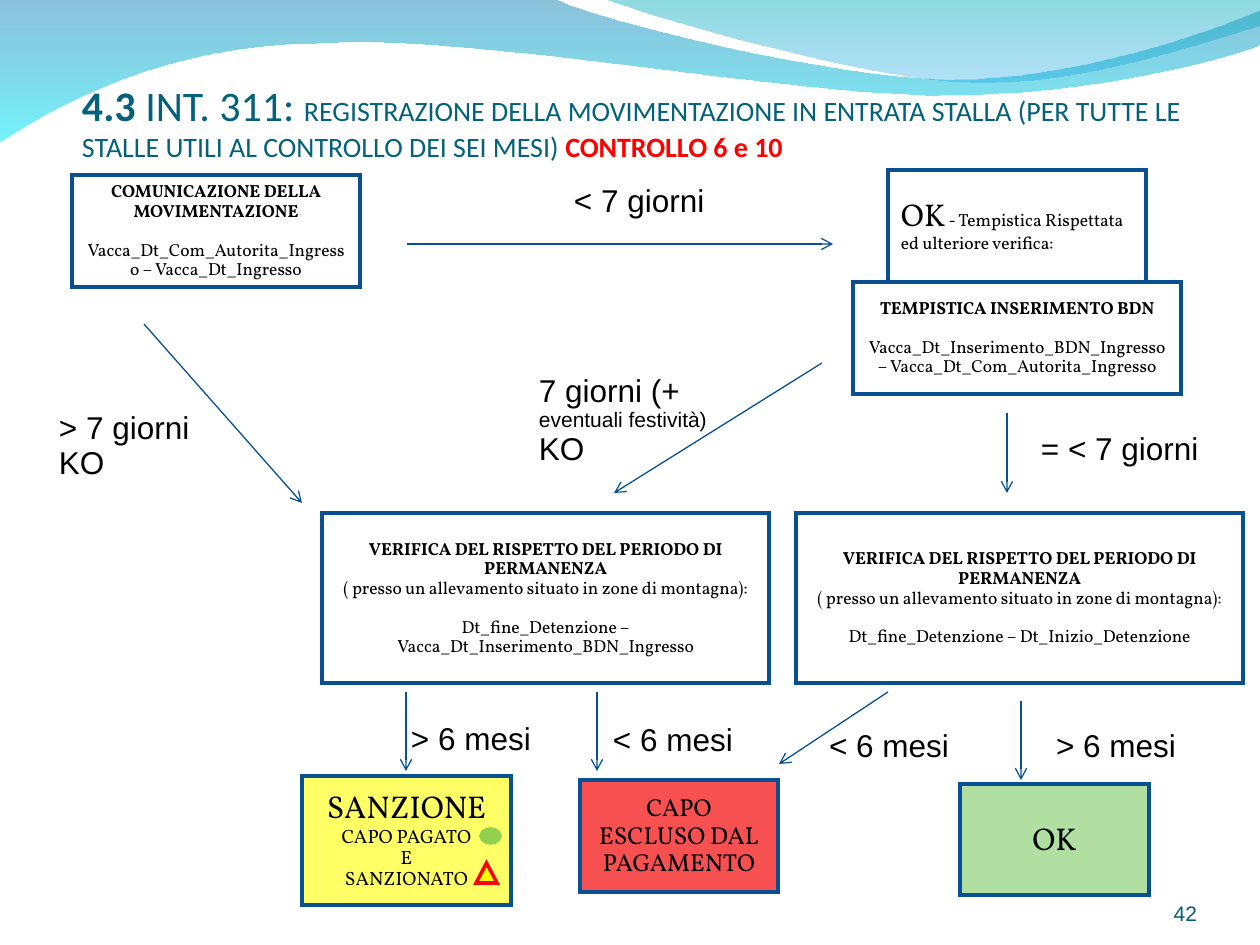
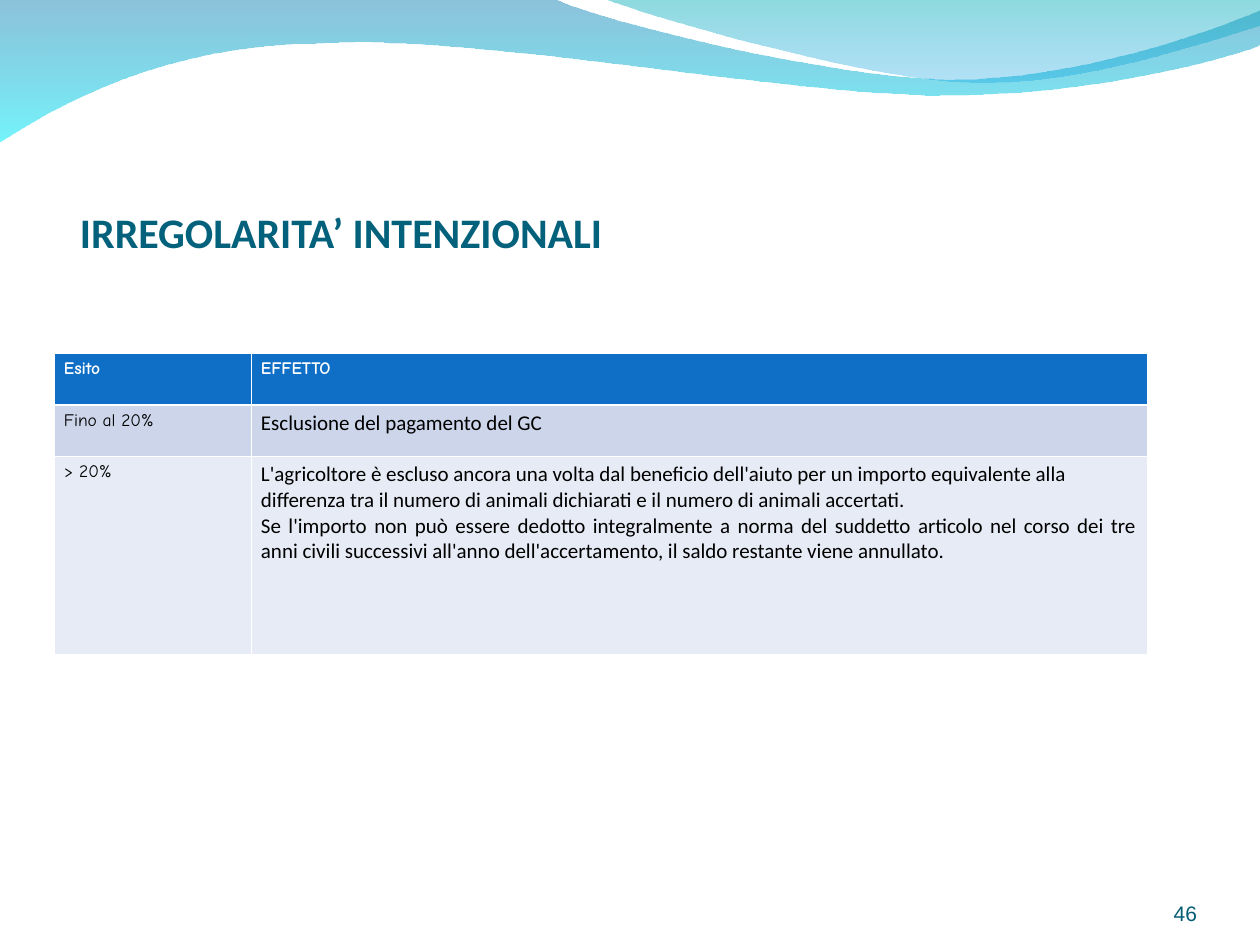
from dataclasses import dataclass

from lxml import etree
from pptx import Presentation
from pptx.dml.color import RGBColor
from pptx.enum.shapes import MSO_CONNECTOR, MSO_SHAPE
from pptx.enum.text import MSO_ANCHOR, PP_ALIGN
from pptx.oxml.ns import qn
from pptx.util import Pt

RECTANGLE, TRIANGLE = MSO_SHAPE.RECTANGLE, MSO_SHAPE.ISOSCELES_TRIANGLE
DOT = MSO_SHAPE.FLOWCHART_CONNECTOR
STRAIGHT = MSO_CONNECTOR.STRAIGHT
TOP, MIDDLE, BOTTOM = MSO_ANCHOR.TOP, MSO_ANCHOR.MIDDLE, MSO_ANCHOR.BOTTOM
LEFT, CENTER, RIGHT, JUSTIFY = PP_ALIGN.LEFT, PP_ALIGN.CENTER, PP_ALIGN.RIGHT, PP_ALIGN.JUSTIFY

EMU_PER_PX = 914400 / 126
SLIDE_WIDTH, SLIDE_HEIGHT = 1260, 945
TITLE_FONT, LABEL_FONT, BOX_FONT, TABLE_FONT = "Calibri", "Arial", "Vollkorn", "Comic Neue"
TIGHT = 0.93
BOX_INSETS = (13, 6, 13, 6)

COLORS = {
    "black": "000000", "white": "FFFFFF", "title": "04617B", "number": "045C75",
    "border": "085091", "arrow": "065093", "red": "FF0000", "yellow": "FFFF00",
    "green": "92D050", "sanction": "FFFF66", "excluded": "F65050", "approved": "B0DFA1",
    "header": "0F6FC6", "row_dark": "CCD5EA", "row_light": "E7EBF5",
    "wave_blue": "0079AF", "wave_cyan": "00EBF8", "wave_teal": "00ADB6", "wave_sky": "009BE5",
}


@dataclass
class Run:
    text: str
    size: float = 10
    bold: bool = False
    color: str = "black"
    font: str = BOX_FONT


@dataclass
class Line:
    runs: list[Run]
    align: PP_ALIGN = CENTER
    gap: float = 0
    spacing: float = TIGHT


@dataclass
class Box:
    area: tuple[int, int, int, int]
    lines: list[Line]
    fill: str = "white"


@dataclass
class Label:
    area: tuple[int, int, int, int]
    lines: list[list[Run]]


@dataclass
class Wave:
    start: tuple[int, int]
    segments: list[tuple]  # one point: straight, three points: curve
    stops: tuple  # colour and opacity in percent


WAVES = [
    Wave((0, -1), [((554, -1),),
                   ((600, 21), (837, 79), (955, 79)),
                   ((1075, 79), (1207, 33), (1260, 11)),
                   ((1261, 45),),
                   ((1239, 55), (1096, 96), (940, 95)),
                   ((784, 95), (481, 35), (324, 43)),
                   ((163, 44), (58, 105), (-1, 142))],
         (("wave_blue", 45), ("wave_cyan", 55))),
    Wave((604, -1), [((641, 14), (859, 78), (969, 82)),
                     ((1079, 87), (1211, 40), (1260, 26)),
                     ((1260, 0),)],
         (("wave_teal", 45), ("wave_sky", 30))),
]


def px(value: float) -> int:
    return round(value * EMU_PER_PX)


def place(area) -> list[int]:
    return [px(value) for value in area]


def rgb(name: str) -> RGBColor:
    return RGBColor.from_string(COLORS[name])


# Text
def add_run(paragraph, text: str, *, size: float, bold: bool, color: str, font: str) -> None:
    run = paragraph.add_run()
    run.text = text
    run.font.size, run.font.bold, run.font.name = Pt(size), bold, font
    run.font.color.rgb = rgb(color)


def write_lines(frame, lines: list[Line]) -> None:
    for index, line in enumerate(lines):
        paragraph = frame.add_paragraph() if index else frame.paragraphs[0]
        paragraph.alignment = line.align
        paragraph.line_spacing = line.spacing
        paragraph.space_before = Pt(line.gap)
        for run in line.runs:
            add_run(paragraph, run.text, size=run.size, bold=run.bold,
                    color=run.color, font=run.font)


def set_frame(frame, anchor, insets) -> None:
    frame.word_wrap = True
    frame.vertical_anchor = anchor
    (frame.margin_left, frame.margin_top,
     frame.margin_right, frame.margin_bottom) = place(insets)


def add_text(slide, area, lines: list[Line], anchor=TOP, insets=BOX_INSETS) -> None:
    frame = slide.shapes.add_textbox(*place(area)).text_frame
    set_frame(frame, anchor, insets)
    write_lines(frame, lines)


# Shapes
def add_preset(shapes, kind, area, fill: str, border: str):
    shape = shapes.add_shape(kind, *place(area))
    shape.shadow.inherit = False
    shape.fill.solid()
    shape.fill.fore_color.rgb = rgb(fill)
    shape.line.color.rgb = rgb(border)
    shape.line.width = Pt(2)
    etree.SubElement(shape.line._get_or_add_ln(), qn("a:miter"), lim="800000")
    return shape


def add_box(shapes, box: Box) -> None:
    shape = add_preset(shapes, RECTANGLE, box.area, box.fill, "border")
    set_frame(shape.text_frame, MIDDLE, BOX_INSETS)
    write_lines(shape.text_frame, box.lines)


def add_arrow(slide, start: tuple[int, int], end: tuple[int, int]) -> None:
    connector = slide.shapes.add_connector(STRAIGHT, *place(start + end))
    connector.line.color.rgb = rgb("arrow")
    connector.line.width = Pt(0.75)
    etree.SubElement(connector.line._get_or_add_ln(), qn("a:tailEnd"), type="arrow")
    etree.SubElement(connector._element.spPr, qn("a:effectLst"))


def bend_segments(shape, segments: list[tuple]) -> None:
    """Merge the three straight steps of each curved segment into one Bezier curve."""
    steps = iter(list(shape._element.spPr.iter(qn("a:lnTo"))))
    for segment in segments:
        parts = [next(steps) for _ in segment]
        if len(parts) == 3:
            curve = etree.Element(qn("a:cubicBezTo"))
            parts[0].addprevious(curve)
            for part in parts:
                curve.append(part[0])
                part.getparent().remove(part)


def add_wave(slide, wave: Wave) -> None:
    builder = slide.shapes.build_freeform(*place(wave.start))
    points = [place(point) for segment in wave.segments for point in segment]
    builder.add_line_segments(points, close=True)
    shape = builder.convert_to_shape()
    bend_segments(shape, wave.segments)
    shape.shadow.inherit = False
    shape.line.fill.background()
    shape.fill.gradient()
    shape.fill.gradient_angle = 270
    for stop, (color, _) in zip(shape.fill.gradient_stops, wave.stops):
        stop.color.rgb = rgb(color)
    color_elements = list(shape._element.spPr.iter(qn("a:srgbClr")))
    for element, (_, opacity) in zip(color_elements, wave.stops):
        etree.SubElement(element, qn("a:alpha"), val=str(opacity * 1000))


# Parts shared by the slides
def start_slide(presentation, number: int, title_area, title: list[Run], title_insets):
    slide = presentation.slides.add_slide(presentation.slide_layouts[6])
    for wave in WAVES:
        add_wave(slide, wave)
    add_text(slide, title_area, [Line(title, LEFT, spacing=1.0)], BOTTOM, title_insets)
    page = Run(str(number), 12, color="number", font=LABEL_FONT)
    add_text(slide, (1092, 876, 105, 50), [Line([page], RIGHT)], BOTTOM, (0, 0, 0, 0))
    return slide


def title_run(text: str, size: float, bold: bool = False, color: str = "title") -> Run:
    return Run(text, size, bold, color, TITLE_FONT)


def label_run(text: str, size: float = 18) -> Run:
    return Run(text, size, font=LABEL_FONT)


def check_lines(heading: str, formula: str, note: str = "") -> list[Line]:
    notes = [Line([Run(note)])] if note else []
    return [Line([Run(heading, bold=True)]), *notes, Line([Run(formula)], gap=11)]


def stay_box(left: int, formula: str) -> Box:
    return Box((left, 513, 447, 170), check_lines(
        "VERIFICA DEL RISPETTO DEL PERIODO DI PERMANENZA", formula,
        "( presso un allevamento situato in zone di montagna):"))


# Slide 42: decision flow
FLOW_BOXES = [
    Box((72, 175, 288, 112), check_lines(
        "COMUNICAZIONE DELLA MOVIMENTAZIONE",
        "Vacca_Dt_Com_Autorita_Ingresso – Vacca_Dt_Ingresso")),
    Box((853, 282, 328, 112), check_lines(
        "TEMPISTICA INSERIMENTO BDN",
        "Vacca_Dt_Inserimento_BDN_Ingresso – Vacca_Dt_Com_Autorita_Ingresso")),
    Box((888, 170, 258, 112), [Line([
        Run("OK", 18), Run(" - Tempistica Rispettata ed ulteriore verifica:")], LEFT)]),
    stay_box(322, "Dt_fine_Detenzione – Vacca_Dt_Inserimento_BDN_Ingresso"),
    stay_box(796, "Dt_fine_Detenzione – Dt_Inizio_Detenzione"),
    Box((580, 780, 198, 112), [Line([Run("CAPO ESCLUSO DAL PAGAMENTO", 14)])], "excluded"),
    Box((960, 784, 189, 111), [Line([Run("OK", 18)])], "approved"),
]
SANCTION_BOX = Box((302, 776, 209, 129), [
    Line([Run("SANZIONE", 18)]),
    *(Line([Run(text, 11)]) for text in ("CAPO PAGATO", "E", "SANZIONATO"))], "sanction")
FLOW_LABELS = [
    Label((561, 178, 162, 48), [[label_run("< 7 giorni")]]),
    Label((1028, 426, 190, 48), [[label_run("= < 7 giorni")]]),
    Label((46, 405, 169, 83), [[label_run("> 7 giorni KO")]]),
    Label((526, 368, 222, 107), [
        [label_run("7 giorni (+"), label_run(" eventuali festività)", 12)], [label_run("KO")]]),
    *(Label((left, top, 169, 48), [[label_run(f"{sign} 6 mesi")]])
      for left, top, sign in ((398, 716, ">"), (600, 717, "<"), (816, 723, "<"), (1043, 723, ">"))),
]
FLOW_ARROWS = [
    ((407, 244), (833, 244)), ((144, 324), (302, 503)), ((822, 363), (614, 493)),
    ((1007, 413), (1007, 493)), ((406, 692), (406, 771)), ((597, 692), (597, 771)),
    ((888, 692), (779, 764)), ((1021, 701), (1021, 780)),
]


def add_flow_slide(presentation) -> None:
    slide = start_slide(presentation, 42, (82, 79, 1113, 117), [
        title_run("4.3 ", 24, True), title_run("INT. 311: ", 24),
        title_run("REGISTRAZIONE DELLA MOVIMENTAZIONE IN ENTRATA STALLA "
                  "(PER TUTTE LE STALLE UTILI AL CONTROLLO DEI SEI MESI)", 16),
        title_run(" CONTROLLO 6 e 10", 16, True, "red")], (0, 0, 0, 33))
    for box in FLOW_BOXES:
        add_box(slide.shapes, box)
    sanction = slide.shapes.add_group_shape().shapes
    add_box(sanction, SANCTION_BOX)
    add_preset(sanction, DOT, (481, 829, 19, 14), "green", "green")
    add_preset(sanction, TRIANGLE, (476, 863, 21, 20), "yellow", "red")
    for label in FLOW_LABELS:
        add_text(slide, label.area, [Line(runs, LEFT) for runs in label.lines])
    for start, end in FLOW_ARROWS:
        add_arrow(slide, start, end)


# Slide 46: table of effects
EFFECT_ROWS = [
    (52, "header", "Esito", ["EFFETTO"]),
    (51, "row_dark", "Fino al 20%", ["Esclusione del pagamento del GC"]),
    (198, "row_light", "> 20%", [
        "L'agricoltore è escluso ancora una volta dal beneficio dell'aiuto per un importo "
        "equivalente alla differenza tra il numero di animali dichiarati e il numero di "
        "animali accertati.",
        "Se l'importo non può essere dedotto integralmente a norma del suddetto articolo nel "
        "corso dei tre anni civili successivi all'anno dell'accertamento, il saldo restante "
        "viene annullato."]),
]


def set_cell(cell, fill: str, lines: list[Line], widths: dict[str, float]) -> None:
    cell.margin_left = cell.margin_right = px(10)
    cell.margin_top = cell.margin_bottom = px(6)
    write_lines(cell.text_frame, lines)
    properties = cell._tc.get_or_add_tcPr()
    for side in ("lnL", "lnR", "lnT", "lnB"):
        border = etree.SubElement(properties, qn(f"a:{side}"), w=str(Pt(widths.get(side, 0.45))))
        solid = etree.SubElement(border, qn("a:solidFill"))
        etree.SubElement(solid, qn("a:srgbClr"), val=COLORS["white"])
    cell.fill.solid()
    cell.fill.fore_color.rgb = rgb(fill)


def add_effects_slide(presentation) -> None:
    slide = start_slide(presentation, 46, (64, 106, 1134, 158),
                        [title_run("IRREGOLARITA’ INTENZIONALI", 24, True)], (16, 6, 0, 7))
    table = slide.shapes.add_table(len(EFFECT_ROWS), 2, *place((54, 353, 1093, 301))).table
    for column, width in zip(table.columns, (197, 896)):
        column.width = px(width)
    for index, (height, fill, outcome, effects) in enumerate(EFFECT_ROWS):
        table.rows[index].height = px(height)
        header = index == 0
        style = (10, True, "white", TABLE_FONT) if header else (12, False, "black", TITLE_FONT)
        outcome_run = Run(outcome, 10, header, style[2], TABLE_FONT)
        effect_lines = [Line([Run(text, *style)], JUSTIFY if number else LEFT, spacing=1.0)
                        for number, text in enumerate(effects)]
        widths = {0: {"lnB": 1.47}, 1: {"lnT": 1.47}}.get(index, {})
        set_cell(table.cell(index, 0), fill, [Line([outcome_run], LEFT, spacing=1.0)], widths)
        set_cell(table.cell(index, 1), fill, effect_lines, widths)


def main() -> None:
    presentation = Presentation()
    presentation.slide_width, presentation.slide_height = px(SLIDE_WIDTH), px(SLIDE_HEIGHT)
    add_flow_slide(presentation)
    add_effects_slide(presentation)
    presentation.save("out.pptx")


if __name__ == "__main__":
    main()
